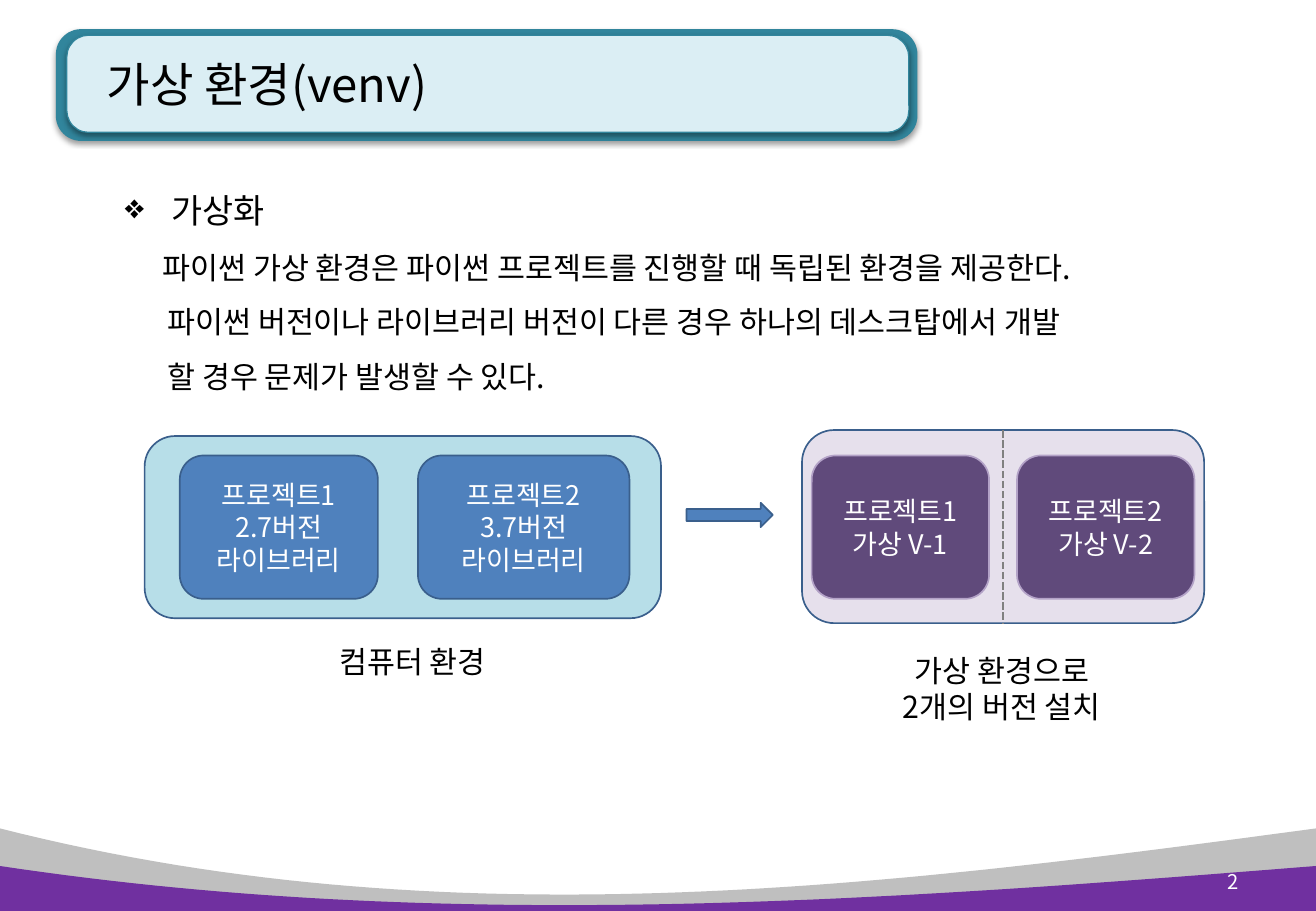
from lxml.etree import SubElement
from pptx import Presentation
from pptx.dml.color import RGBColor
from pptx.enum.dml import MSO_LINE_DASH_STYLE as Dash
from pptx.enum.shapes import MSO_CONNECTOR as Connector, MSO_SHAPE as Shape
from pptx.enum.text import MSO_ANCHOR as Anchor, PP_ALIGN as Align
from pptx.oxml.ns import qn
from pptx.util import Pt

PX = 9144  # 100 px to the inch
WIDTH, HEIGHT = 1083, 750
FONT = "Noto Sans CJK KR"
COLORS = {
    "black": "000000", "white": "FFFFFF", "gray": "BFBFBF", "dash": "808080",
    "purple": "7030A0", "teal": "31859C", "ice": "DBEEF4",
    "aqua": "B7DEE8", "blue": "4F81BD", "navy": "3A5F8C",
    "lilac": "E6E0EC", "plum": "604A7B", "mauve": "B3A2C7",
}


def color(name):
    return RGBColor.from_string(COLORS[name])


def px(*lengths):
    return [round(length * PX) for length in lengths]


class SlideBuilder:
    def __init__(self, slide):
        self.slide = slide
        self.shapes = slide.shapes

    def paint(self, shape, fill, line=None, weight=1):
        shape.shadow.inherit = False
        shape.fill.solid()
        shape.fill.fore_color.rgb = color(fill)
        if line:
            shape.line.color.rgb = color(line)
            shape.line.width = Pt(weight)
        else:
            shape.line.fill.background()

    def set_text(self, shape, lines, size, ink="black", align=Align.CENTER,
                 anchor=Anchor.MIDDLE):
        frame = shape.text_frame
        frame.word_wrap = True
        frame.vertical_anchor = anchor
        frame.text = "\n".join(lines)
        for paragraph in frame.paragraphs:
            paragraph.alignment = align
            font = paragraph.font
            font.size, font.name = Pt(size), FONT
            font.color.rgb = color(ink)
            properties = paragraph._p.pPr.find(qn("a:defRPr"))
            SubElement(properties, qn("a:ea"), typeface=FONT)
        return frame

    def box(self, bounds, fill, line=None, weight=1, kind=Shape.ROUNDED_RECTANGLE):
        shape = self.shapes.add_shape(kind, *px(*bounds))
        self.paint(shape, fill, line, weight)
        return shape

    def text(self, bounds, lines, size, **style):
        return self.set_text(self.shapes.add_textbox(*px(*bounds)), lines, size, **style)

    def banner(self, bounds, fill, line=None):
        shape = self.box(bounds, fill, line, 0.75)
        shape.adjustments[0] = 0.225
        effects = shape._element.spPr.find(qn("a:effectLst"))
        shadow = SubElement(effects, qn("a:outerShdw"), blurRad="40000",
                            dist="20000", dir="5400000", rotWithShape="0")
        ink = SubElement(shadow, qn("a:srgbClr"), val=COLORS["black"])
        SubElement(ink, qn("a:alpha"), val="38000")

    def title(self, bounds, text):
        title = self.shapes.title
        title.left, title.top, title.width, title.height = px(*bounds)
        frame = self.set_text(title, [text], 28, align=Align.LEFT)
        frame.margin_left = px(19)[0]
        title._element.getparent().append(title._element)  # in front of the banner

    def wave(self, edge, first, second, fill, steps=60):
        """Fill below a cubic curve that starts and ends at the height edge."""
        points = []
        for step in range(steps + 1):
            t = step / steps
            u = 1 - t
            x = 3 * u * u * t * 365 + 3 * u * t * t * 720 + t ** 3 * WIDTH
            y = (u ** 3 + t ** 3) * edge + 3 * u * u * t * first + 3 * u * t * t * second
            points.append(px(x, y))
        builder = self.shapes.build_freeform(*points[0])
        builder.add_line_segments(points[1:] + [px(WIDTH, HEIGHT), px(0, HEIGHT)])
        self.paint(builder.convert_to_shape(), fill)

    def divider(self, shape):
        line = self.shapes.add_connector(Connector.STRAIGHT, 0, 0, 0, 0)
        line.begin_connect(shape, 0)
        line.end_connect(shape, 2)
        line.line.color.rgb = color("dash")
        line.line.width = Pt(1.5)
        line.line.dash_style = Dash.SQUARE_DOT
        SubElement(line._element.spPr, qn("a:effectLst"))

    def indent(self, paragraph, left, first=0, bullet=None):
        properties = paragraph._p.get_or_add_pPr()
        properties.set("marL", str(left * PX))
        properties.set("indent", str(first * PX))
        if bullet:
            mark = properties.makeelement(qn("a:buChar"), {"char": bullet})
            properties.find(qn("a:defRPr")).addprevious(mark)


def main():
    presentation = Presentation()
    presentation.slide_width, presentation.slide_height = px(WIDTH, HEIGHT)
    slide = presentation.slides.add_slide(presentation.slide_layouts[5])
    page = SlideBuilder(slide)

    # Footer waves and title banner
    page.wave(682, 775, 731, "gray")
    page.banner((46, 24, 709, 92), "teal")
    page.banner((55, 29, 693, 80), "ice", "teal")
    page.wave(713, 768, 742, "purple")
    page.title((69, 22, 678, 94), "가상 환경(venv)")
    page.text((968, 706, 61, 40), ["2"], 12, ink="white", align=Align.RIGHT)

    # Explanation
    frame = page.text((93, 135, 906, 197), [
        "가상화",
        "파이썬 가상 환경은 파이썬 프로젝트를 진행할 때 독립된 환경을 제공한다.",
        "파이썬 버전이나 라이브러리 버전이 다른 경우 하나의 데스크탑에서 개발",
        "할 경우 문제가 발생할 수 있다.",
    ], 18, align=Align.LEFT, anchor=Anchor.TOP)
    heading, *details = frame.paragraphs
    heading.font.size = Pt(20)
    page.indent(heading, 38, -38, "❖")
    for paragraph, left in zip(details, (31, 35, 35)):
        page.indent(paragraph, left)
    for paragraph in frame.paragraphs:
        paragraph.line_spacing = 1.5

    # Environments, with the arrow and divider between them
    page.box((119, 359, 425, 150), "aqua", "navy")
    page.box((565, 414, 71, 20), "blue", "navy", kind=Shape.RIGHT_ARROW)
    page.divider(page.box((660, 354, 331, 159), "lilac", "navy"))

    # Projects
    projects = [
        (148, 163, "blue", "navy", ["프로젝트1", "2.7버전", "라이브러리"]),
        (344, 174, "blue", "navy", ["프로젝트2", "3.7버전", "라이브러리"]),
        (668, 146, "plum", "mauve", ["프로젝트1", "가상 V-1"]),
        (837, 146, "plum", "mauve", ["프로젝트2", "가상 V-2"]),
    ]
    for left, width, fill, line, lines in projects:
        project = page.box((left, 375, width, 118), fill, line)
        page.set_text(project, lines, 16, ink="white")

    # Captions
    page.text((253, 525, 173, 40), ["컴퓨터 환경"], 18, anchor=Anchor.TOP)
    page.text((718, 532, 213, 71), ["가상 환경으로", "2개의 버전 설치"], 18,
              anchor=Anchor.TOP)

    presentation.save("out.pptx")


if __name__ == "__main__":
    main()
